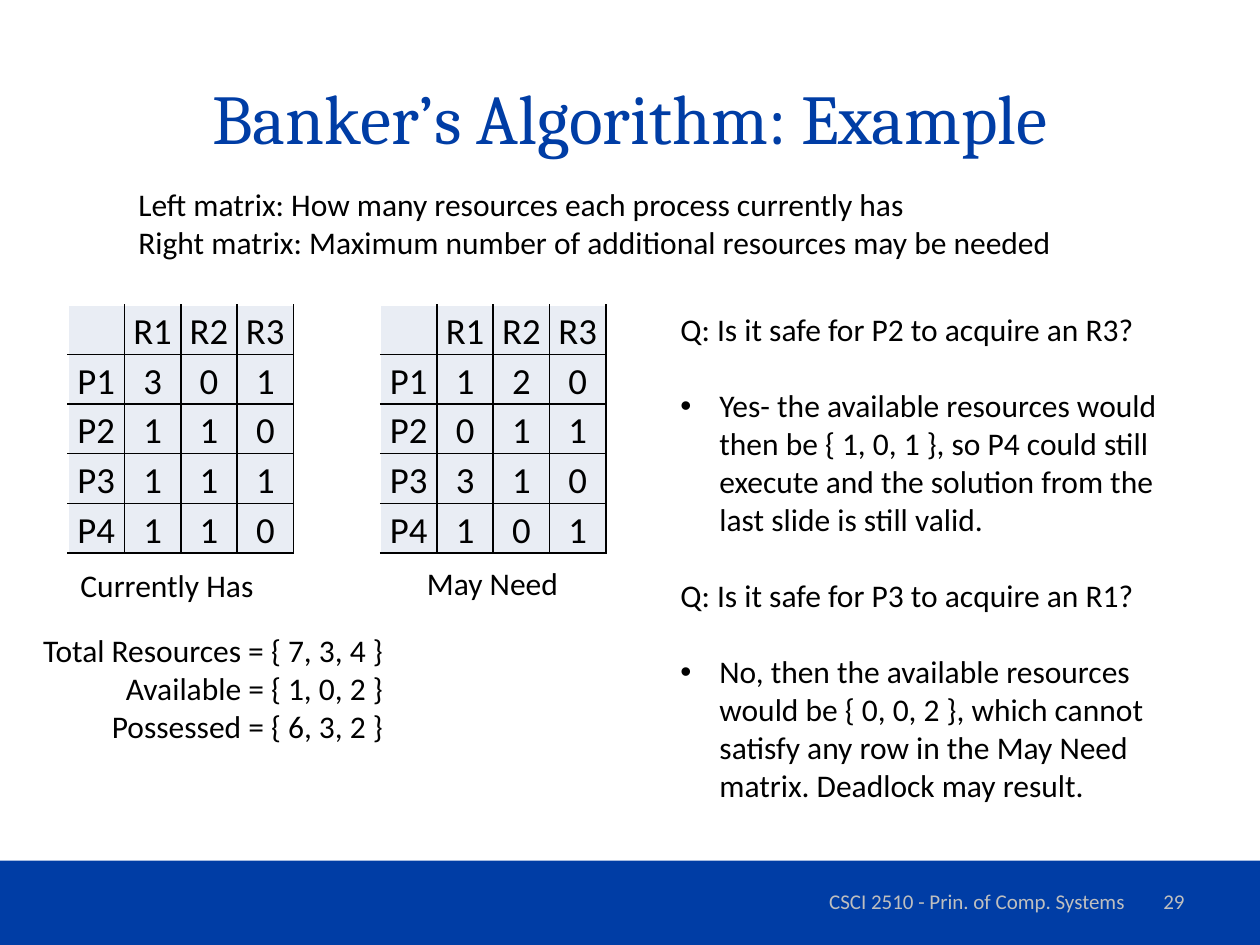
from lxml import etree
from pptx import Presentation
from pptx.dml.color import RGBColor
from pptx.enum import shapes, text
from pptx.oxml import ns
from pptx.util import Inches, Pt

BLUE = RGBColor(0x00, 0x3D, 0xA5)
BLACK = RGBColor(0x00, 0x00, 0x00)
WHITE = RGBColor(0xFF, 0xFF, 0xFF)
GRAY = RGBColor(0xBF, 0xBF, 0xBF)
CELL_FILL = RGBColor(0xE9, 0xED, 0xF4)

LEFT, CENTER, RIGHT = text.PP_ALIGN.LEFT, text.PP_ALIGN.CENTER, text.PP_ALIGN.RIGHT
TOP, MIDDLE, BOTTOM = text.MSO_ANCHOR.TOP, text.MSO_ANCHOR.MIDDLE, text.MSO_ANCHOR.BOTTOM

RESOURCES = ["R1", "R2", "R3"]
CURRENTLY_HAS = [[3, 0, 1], [1, 1, 0], [1, 1, 1], [1, 1, 0]]
MAY_NEED = [[1, 2, 0], [0, 1, 1], [3, 1, 0], [1, 0, 1]]
QUESTIONS = [
    ("Q: Is it safe for P2 to acquire an R3?",
     "Yes- the available resources would\nthen be { 1, 0, 1 }, so P4 could still\n"
     "execute and the solution from the\nlast slide is still valid."),
    ("Q: Is it safe for P3 to acquire an R1?",
     "No, then the available resources\nwould be { 0, 0, 2 }, which cannot\n"
     "satisfy any row in the May Need\nmatrix. Deadlock may result."),
]


def write(paragraph, words, size=18, font="Calibri", color=BLACK, align=LEFT, before=0):
    paragraph.text = words
    paragraph.alignment = align
    paragraph.space_before = Pt(before)
    for run in paragraph.runs:
        run.font.size = Pt(size)
        run.font.name = font
        run.font.color.rgb = color


def set_bullet(paragraph, char=None, indent=0):
    props = paragraph._p.get_or_add_pPr()
    props.set("marL", str(Inches(indent)))
    props.set("indent", str(Inches(-indent)))
    if char:
        etree.SubElement(props, ns.qn("a:buFont"), typeface="Arial")
        etree.SubElement(props, ns.qn("a:buChar"), char=char)
    else:
        etree.SubElement(props, ns.qn("a:buNone"))


def set_border(cell, side, color):
    line = etree.SubElement(cell._tc.get_or_add_tcPr(), ns.qn("a:ln" + side), w=str(Pt(1)))
    fill = etree.SubElement(line, ns.qn("a:solidFill"))
    etree.SubElement(fill, ns.qn("a:srgbClr"), val=str(color))


class SlideBuilder:
    def __init__(self, slide):
        self.slide = slide

    def place(self, shape, left, top, width, height):
        shape.left, shape.top = Inches(left), Inches(top)
        shape.width, shape.height = Inches(width), Inches(height)

    def band(self, left, top, width, height):
        band = self.slide.shapes.add_shape(
            shapes.MSO_SHAPE.RECTANGLE, *map(Inches, (left, top, width, height)))
        band.shadow.inherit = False
        band.fill.solid()
        band.fill.fore_color.rgb = BLUE
        band.line.fill.background()

    def title(self, words, *box):
        title = self.slide.shapes.title
        self.place(title, *box)
        title.text_frame.vertical_anchor = MIDDLE
        write(title.text_frame.paragraphs[0], words, size=40, font="Cambria",
              color=BLUE, align=CENTER)

    def label(self, lines, *box, anchor=TOP, **style):
        frame = self.slide.shapes.add_textbox(*map(Inches, box)).text_frame
        frame.word_wrap = False
        frame.vertical_anchor = anchor
        for i, line in enumerate(lines):
            paragraph = frame.add_paragraph() if i else frame.paragraphs[0]
            write(paragraph, line, **style)

    def questions(self, pairs, *box):
        body = self.slide.placeholders[1]
        self.place(body, *box)
        frame = body.text_frame
        frame.word_wrap = False
        frame.auto_size = text.MSO_AUTO_SIZE.NONE
        for i, (question, answer) in enumerate(pairs):
            asked = frame.add_paragraph() if i else frame.paragraphs[0]
            write(asked, question, before=22 if i else 0)
            set_bullet(asked)
            answered = frame.add_paragraph()
            write(answered, answer, before=22)
            set_bullet(answered, "•", 0.31)

    def matrix(self, values, left, top, width, height):
        rows = [[""] + RESOURCES]
        rows += [[f"P{i}"] + counts for i, counts in enumerate(values, 1)]
        table = self.slide.shapes.add_table(
            len(rows), len(rows[0]), *map(Inches, (left, top, width, height))).table
        table.first_row = table.horz_banding = False
        for r, row in enumerate(rows):
            for c, value in enumerate(row):
                cell = table.cell(r, c)
                cell.margin_left = cell.margin_right = cell.margin_top = Inches(0.02)
                cell.margin_bottom = 0
                cell.vertical_anchor = BOTTOM
                write(cell.text_frame.paragraphs[0], str(value), size=21, align=CENTER)
                set_border(cell, "L", BLACK if c else WHITE)
                set_border(cell, "R", BLACK)
                set_border(cell, "T", BLACK if r else WHITE)
                set_border(cell, "B", BLACK)
                cell.fill.solid()
                cell.fill.fore_color.rgb = CELL_FILL


def main():
    deck = Presentation()
    deck.slide_width, deck.slide_height = Inches(10), Inches(7.5)
    page = SlideBuilder(deck.slides.add_slide(deck.slide_layouts[1]))

    page.band(0, 6.83, 10, 0.67)
    page.title("Banker’s Algorithm: Example", 0.5, 0.3, 9, 1.25)
    footer = dict(anchor=MIDDLE, size=12, color=GRAY)
    page.label(["CSCI 2510 - Prin. of Comp. Systems"], 6.17, 6.95, 3.17, 0.4,
               align=CENTER, **footer)
    page.label(["29"], 7.17, 6.95, 2.33, 0.4, align=RIGHT, **footer)

    page.label(["Left matrix: How many resources each process currently has",
                "Right matrix: Maximum number of additional resources may be needed"],
               1, 1.42, 7.53, 0.71)
    page.matrix(CURRENTLY_HAS, 0.54, 2.42, 1.79, 1.97)
    page.matrix(MAY_NEED, 3.02, 2.42, 1.79, 1.97)
    page.label(["Currently Has"], 0.54, 4.44, 1.59, 0.4)
    page.label(["May Need"], 3.29, 4.43, 1.25, 0.4)
    page.label(["Total Resources = { 7, 3, 4 }", "Available = { 1, 0, 2 }",
                "Possessed = { 6, 3, 2 }"], 0.21, 4.96, 2.93, 1.01, align=RIGHT)
    page.questions(QUESTIONS, 5.3, 2.41, 4.03, 4.34)

    deck.save("out.pptx")


if __name__ == "__main__":
    main()
